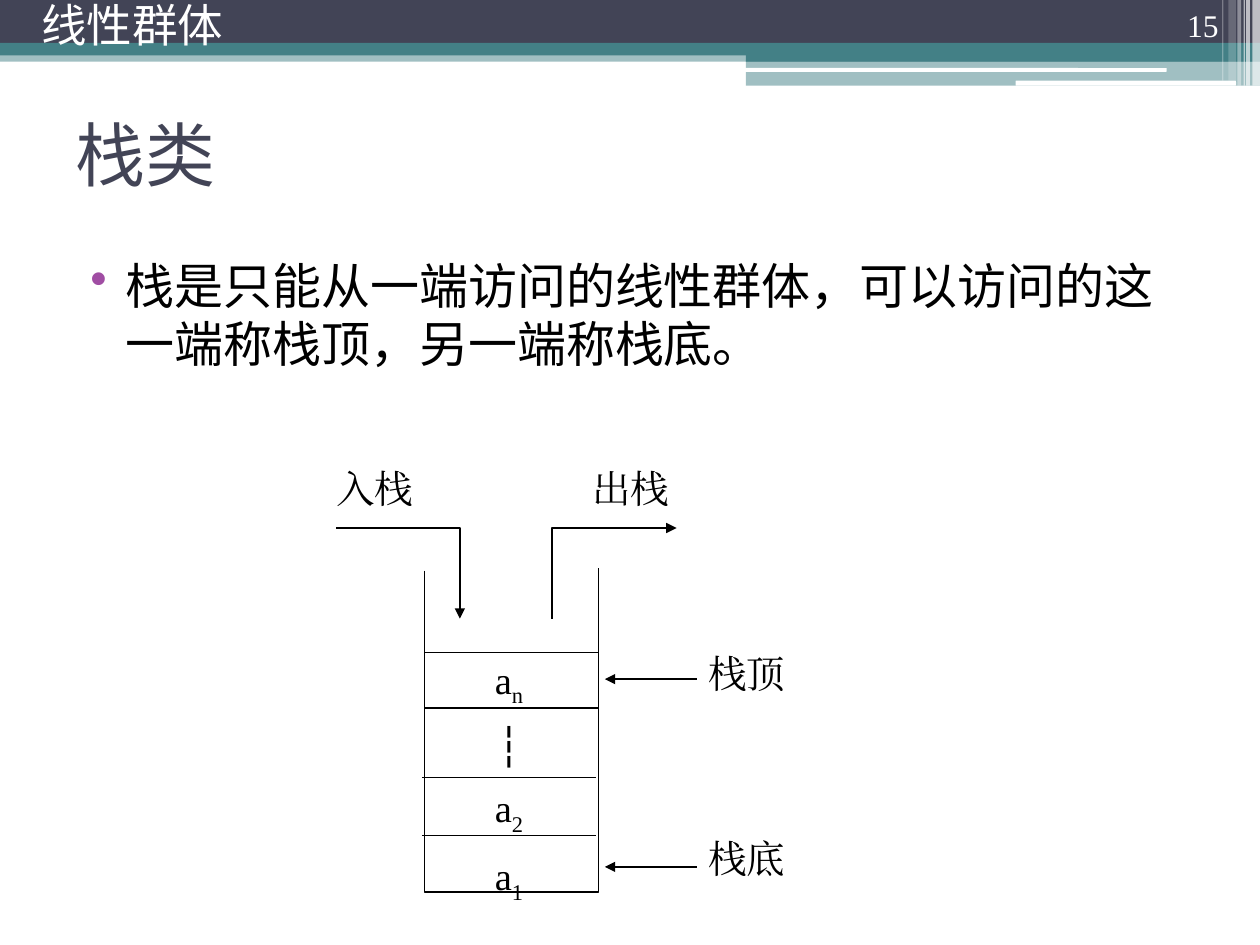
from pptx import Presentation
from pptx.dml.color import RGBColor
from pptx.enum.shapes import MSO_CONNECTOR, MSO_SHAPE as SHAPE
from pptx.enum.text import MSO_ANCHOR as ANCHOR, PP_ALIGN as ALIGN
from pptx.oxml.ns import qn
from pptx.util import Inches, Pt
from lxml.etree import SubElement

COLORS = {
    "navy": "424456",
    "teal": "438086",
    "purple": "A04DA3",
    "white": "FFFFFF",
    "black": "000000",
}
TITLE_FONT, BODY_FONT, LABEL_FONT = "Cabin", "Noto Sans CJK SC", "Times New Roman"


def rgb(name):
    return RGBColor.from_string(COLORS[name])


def write(p, text, font=LABEL_FONT, size=22, color="black"):
    """Fill a paragraph; whatever follows an underscore is a subscript."""
    for i, part in enumerate(text.split("_")):
        r = p.add_run()
        r.text = part
        r.font.name = font
        r.font.size = Pt(size)
        r.font.color.rgb = rgb(color)
        rPr = r.font._element
        SubElement(rPr, qn("a:ea"), typeface=font)
        if i:
            rPr.set("baseline", "-25000")


class Canvas:
    line_width = Pt(0.75)

    def __init__(self, slide):
        self.shapes = slide.shapes

    def bar(self, x, y, w, h, color, opacity=100, kind=SHAPE.RECTANGLE):
        sp = self.shapes.add_shape(kind, Inches(x), Inches(y), Inches(w), Inches(h))
        sp.shadow.inherit = False
        sp.line.fill.background()
        sp.fill.solid()
        sp.fill.fore_color.rgb = rgb(color)
        if opacity < 100:
            clr = sp._element.spPr.find(qn("a:solidFill"))[0]
            SubElement(clr, qn("a:alpha"), val=str(opacity * 1000))
        return sp

    def text(self, x, y, w, h, lines, inset=(0, 0), anchor=ANCHOR.TOP,
             align=ALIGN.LEFT, spacing=None, bullet=None, **fmt):
        """Add a text box; inset is (sides, top and bottom) in inches."""
        box = self.shapes.add_textbox(Inches(x), Inches(y), Inches(w), Inches(h))
        tf = box.text_frame
        tf.word_wrap = True
        tf.vertical_anchor = anchor
        tf.margin_left = tf.margin_right = Inches(inset[0])
        tf.margin_top = tf.margin_bottom = Inches(inset[1])
        for i, line in enumerate(lines):
            p = tf.paragraphs[0] if i == 0 else tf.add_paragraph()
            p.alignment = align
            if spacing:
                p.line_spacing = spacing
            if bullet:
                self.bullet(p, bullet)
            write(p, line, **fmt)

    def bullet(self, p, color):
        pPr = p._p.get_or_add_pPr()
        pPr.set("marL", str(Inches(0.4)))
        pPr.set("indent", str(Inches(-0.28)))
        clr = SubElement(pPr, qn("a:buClr"))
        SubElement(clr, qn("a:srgbClr"), val=COLORS[color])
        SubElement(pPr, qn("a:buChar"), char="•")

    def stroke(self, sp, arrow):
        sp.line.color.rgb = rgb("black")
        sp.line.width = self.line_width
        if arrow:
            SubElement(sp._element.spPr.find(qn("a:ln")), qn("a:tailEnd"), type="triangle")

    def line(self, x1, y1, x2, y2, arrow=False):
        cxn = self.shapes.add_connector(
            MSO_CONNECTOR.STRAIGHT, Inches(x1), Inches(y1), Inches(x2), Inches(y2))
        self.stroke(cxn, arrow)
        SubElement(cxn._element.spPr, qn("a:effectLst"))

    def polyline(self, *points, arrow=False):
        start, *rest = [(Inches(x), Inches(y)) for x, y in points]
        builder = self.shapes.build_freeform(*start)
        builder.add_line_segments(rest, close=False)
        sp = builder.convert_to_shape()
        sp.shadow.inherit = False
        sp.fill.background()
        self.stroke(sp, arrow)


def draw_banner(s):
    s.bar(0, 0.4, 10, 0.09, "teal", 50)
    s.bar(0, 0, 10, 0.34, "navy")
    s.bar(0, 0.34, 10, 0.1, "teal")
    s.bar(5.92, 0.39, 4.08, 0.1, "teal")
    s.bar(5.92, 0.48, 4.08, 0.2, "teal", 50)
    for x, y, w, h in ((5.91, 0.54, 3.35, 0.03), (8.06, 0.64, 1.75, 0.04)):
        s.bar(x, y, w, h, "white", kind=SHAPE.ROUNDED_RECTANGLE)
    stripes = (
        (9.94, 0.06, 0.68, 65), (9.89, 0.03, 0.68, 65), (9.87, 0.01, 0.68, 60),
        (9.82, 0.03, 0.68, 40), (9.75, 0.06, 0.64, 20), (9.7, 0.01, 0.64, 30),
    )
    for x, w, h, opacity in stripes:
        s.bar(x, 0, w, h, "white", opacity)


def draw_texts(s):
    s.text(0.5, 0.63, 9, 1.17, ["栈类"], inset=(0.1, 0.05), anchor=ANCHOR.MIDDLE,
           font=TITLE_FONT, size=40, color="navy")
    s.text(0.5, 1.95, 9, 5.24,
           ["栈是只能从一端访问的线性群体，可以访问的这一端称栈顶，另一端称栈底。"],
           inset=(0.1, 0.09), spacing=Pt(33), bullet="purple", font=BODY_FONT, size=28)
    s.text(8.94, 0, 0.83, 0.4, ["15"], inset=(0.1, 0.05), anchor=ANCHOR.BOTTOM,
           align=ALIGN.RIGHT, size=18, color="white")
    s.text(0.23, 0, 8.78, 0.47, ["线性群体"], inset=(0.1, 0.05), anchor=ANCHOR.MIDDLE,
           spacing=0.8, font=TITLE_FONT, size=26, color="white")


def draw_stack(s):
    left, right, bottom = 3.37, 4.75, 7.08
    s.polyline((left, 4.53), (left, bottom), (right, bottom), (right, 4.51))
    s.text(3.42, 5.08, 1.24, 1.99, ["a_n", "┆", "a_2", "a_1"],
           align=ALIGN.CENTER, spacing=1.3)
    for y, shift in ((5.18, 0), (5.62, 0), (6.17, -0.02), (6.63, -0.02)):
        s.line(left + shift, y, right + shift, y)

    turn, inner = 4.19, 4.91
    s.polyline((2.67, turn), (3.65, turn), (3.65, inner), arrow=True)
    s.polyline((4.38, inner), (4.38, turn), (5.37, turn), arrow=True)
    for x, label in ((2.67, "入栈"), (4.7, "出栈")):
        s.text(x, 3.69, 0.94, 0.43, [label], align=ALIGN.JUSTIFY)

    for label, arrow_y, text_y in (("栈顶", 5.39, 5.16), ("栈底", 6.88, 6.63)):
        s.line(5.53, arrow_y, 4.8, arrow_y, arrow=True)
        s.text(5.62, text_y, 1.63, 0.46, [label], align=ALIGN.JUSTIFY)


def main():
    prs = Presentation()
    prs.slide_width, prs.slide_height = Inches(10), Inches(7.5)
    s = Canvas(prs.slides.add_slide(prs.slide_layouts[6]))
    draw_banner(s)
    draw_texts(s)
    draw_stack(s)
    prs.save("out.pptx")


if __name__ == "__main__":
    main()
